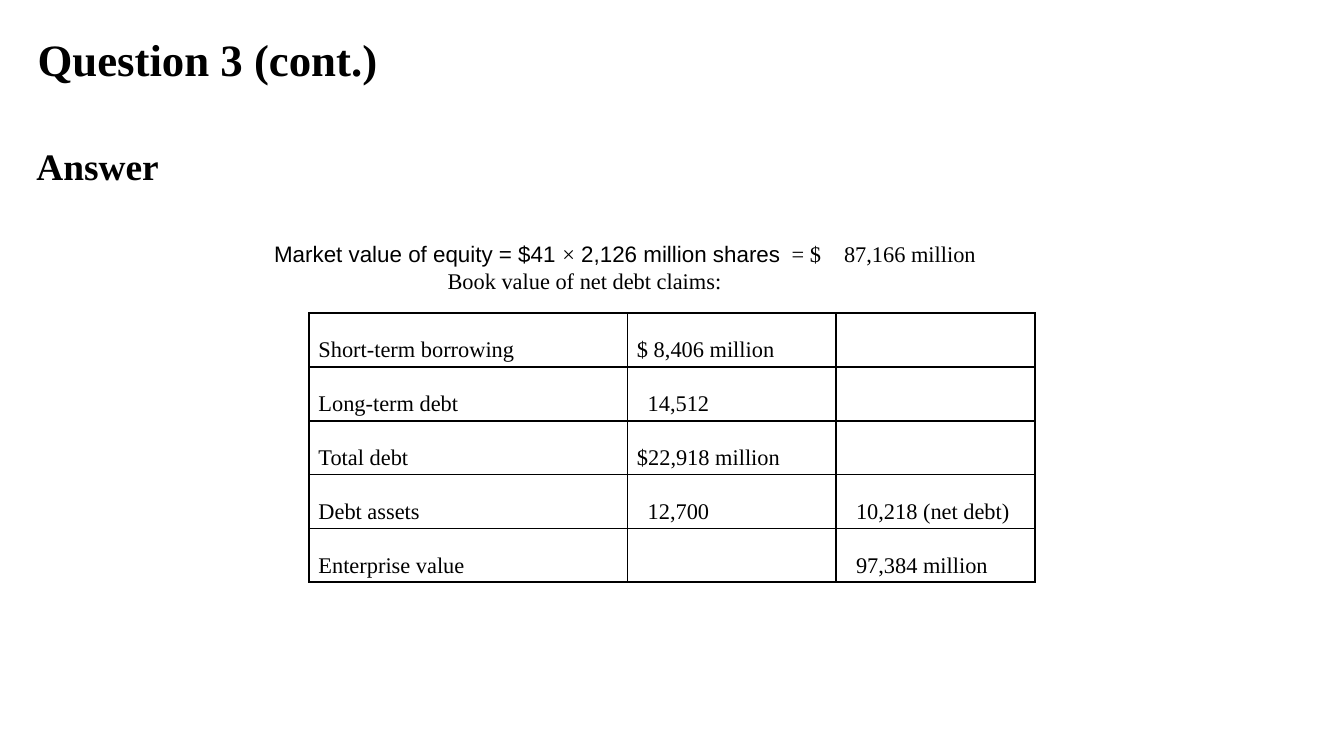
import pptx
import pptx.dml.color
import pptx.enum.text
import pptx.oxml
import pptx.oxml.ns
import pptx.util
from pptx.util import Inches

COLORS = {"text": "000000", "border": "000000", "background": "FFFFFF"}
SERIF = "Times New Roman"
SANS = "Arial"
ROWS = [
    ("Short-term borrowing", "$ 8,406 million", ""),
    ("Long-term debt", "14,512", ""),
    ("Total debt", "$22,918 million", ""),
    ("Debt assets", "12,700", "10,218 (net debt)"),
    ("Enterprise value", "", "97,384 million"),
]


def add_run(paragraph, text, size=12, font=SERIF, bold=False):
    run = paragraph.add_run()
    run.text = text
    run.font.name = font
    run.font.size = pptx.util.Pt(size)
    run.font.bold = bold
    run.font.color.rgb = pptx.dml.color.RGBColor.from_string(COLORS["text"])


def add_text_frame(slide, left, top, width, height):
    frame = slide.shapes.add_textbox(
        Inches(left), Inches(top), Inches(width), Inches(height)
    ).text_frame
    frame.word_wrap = True
    frame.margin_left = frame.margin_right = 0
    frame.margin_top = frame.margin_bottom = 0
    return frame


def set_indent(paragraph, indent):
    paragraph._p.get_or_add_pPr().set("marL", str(Inches(indent)))


def set_tabs(paragraph, positions):
    properties = paragraph._p.get_or_add_pPr()
    tabs = pptx.oxml.parse_xml(f"<a:tabLst {pptx.oxml.ns.nsdecls('a')}/>")
    for position in positions:
        tab = tabs.makeelement(pptx.oxml.ns.qn("a:tab"))
        tab.set("pos", str(Inches(position)))
        tab.set("algn", "l")
        tabs.append(tab)
    properties.append(tabs)


def set_end_font(paragraph, size=12):
    paragraph._p.append(pptx.oxml.parse_xml(
        f'<a:endParaRPr {pptx.oxml.ns.nsdecls("a")} sz="{size * 100}">'
        f'<a:latin typeface="{SERIF}"/></a:endParaRPr>'
    ))


def set_borders(cell):
    properties = cell._tc.get_or_add_tcPr()
    for index, side in enumerate(("lnL", "lnR", "lnT", "lnB")):
        line = pptx.oxml.parse_xml(
            f'<a:{side} {pptx.oxml.ns.nsdecls("a")} w="{pptx.util.Pt(1)}">'
            f'<a:solidFill><a:srgbClr val="{COLORS["border"]}"/></a:solidFill>'
            f"</a:{side}>"
        )
        properties.insert(index, line)


def add_heading(slide, text, size, left, top, width, height, anchor):
    frame = add_text_frame(slide, left, top, width, height)
    frame.vertical_anchor = anchor
    paragraph = frame.paragraphs[0]
    paragraph.line_spacing = 0.9
    add_run(paragraph, text, size, bold=True)


def add_calculation(slide, left, top, width, height):
    frame = add_text_frame(slide, left, top, width, height)
    equity = frame.paragraphs[0]
    set_tabs(equity, (3.85, 4.24))
    add_run(equity, "Market value of equity = $41 ", font=SANS)
    add_run(equity, "×")
    add_run(equity, " 2,126 million shares", font=SANS)
    add_run(equity, "\t= $\t87,166 million")
    debt = frame.add_paragraph()
    set_indent(debt, 1.29)
    add_run(debt, "Book value of net debt claims:")


def add_debt_table(slide, left, top, widths, row_height):
    table = slide.shapes.add_table(
        len(ROWS), len(widths), Inches(left), Inches(top),
        Inches(sum(widths)), Inches(row_height * len(ROWS)),
    ).table
    table.first_row = False
    table.horz_banding = False
    for column, width in zip(table.columns, widths):
        column.width = Inches(width)
    for row, values in zip(table.rows, ROWS):
        row.height = Inches(row_height)
        for column_index, (cell, text) in enumerate(zip(row.cells, values)):
            cell.margin_left = cell.margin_right = Inches(0.07)
            cell.margin_top = cell.margin_bottom = 0
            cell.fill.background()
            set_borders(cell)
            paragraph = cell.text_frame.paragraphs[0]
            if text:
                paragraph.line_spacing = 2.0
                if column_index and not text.startswith("$"):
                    set_indent(paragraph, 0.08)
                add_run(paragraph, text)
            set_end_font(paragraph)


def main():
    presentation = pptx.Presentation()
    presentation.slide_width = Inches(10)
    presentation.slide_height = presentation.slide_width * 9 // 16
    slide = presentation.slides.add_slide(presentation.slide_layouts[6])
    fill = slide.background.fill
    fill.solid()
    fill.fore_color.rgb = pptx.dml.color.RGBColor.from_string(COLORS["background"])
    anchors = pptx.enum.text.MSO_ANCHOR
    add_heading(slide, "Question 3 (cont.)", 24, 0.28, 0.21, 7.12, 0.5, anchors.MIDDLE)
    add_heading(slide, "Answer", 20, 0.27, 1.1, 9.45, 0.4, anchors.TOP)
    add_debt_table(slide, 2.3, 2.33, (2.37, 1.55, 1.48), 0.37)
    add_calculation(slide, 2.04, 1.79, 7.5, 0.4)
    presentation.save("out.pptx")


if __name__ == "__main__":
    main()
